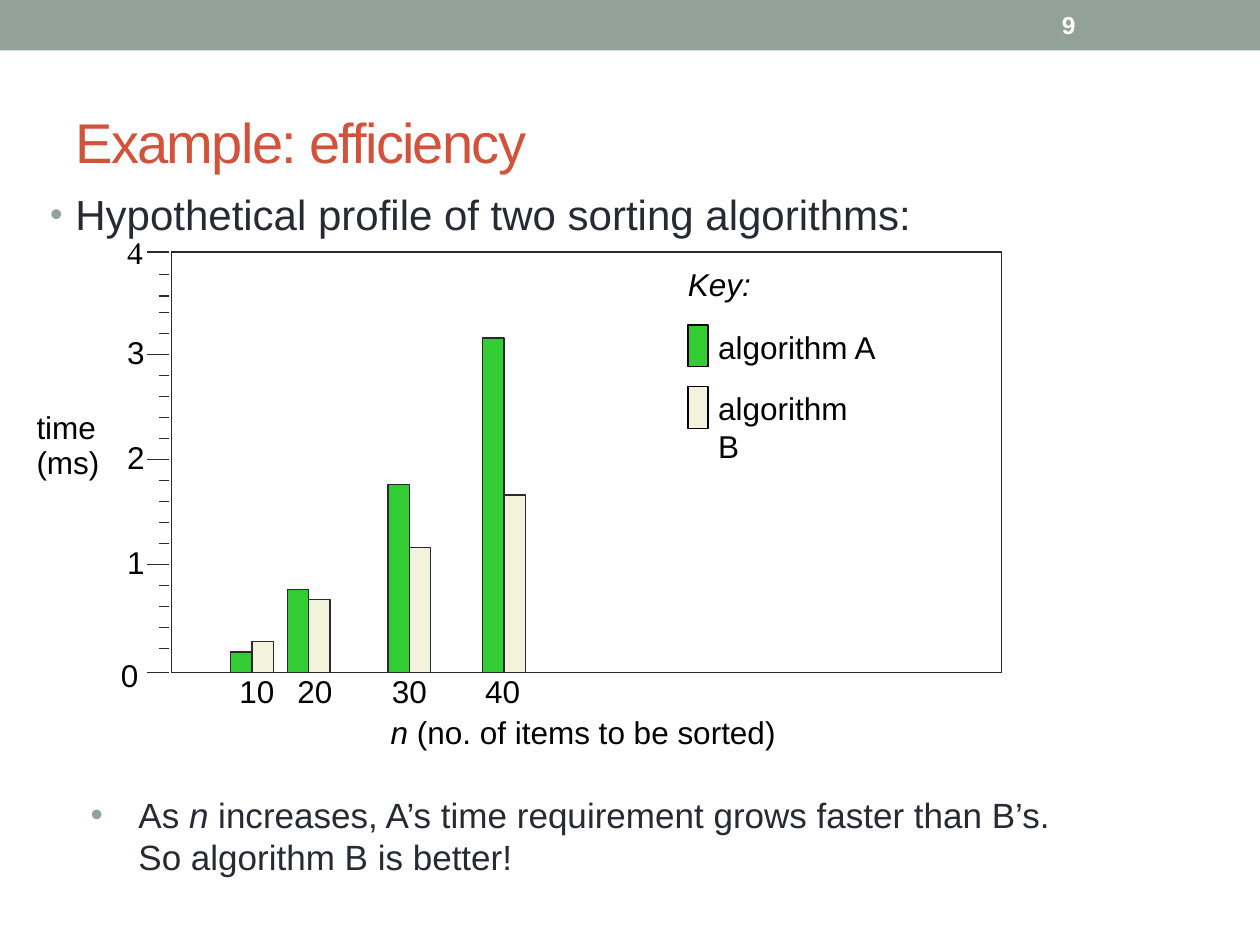
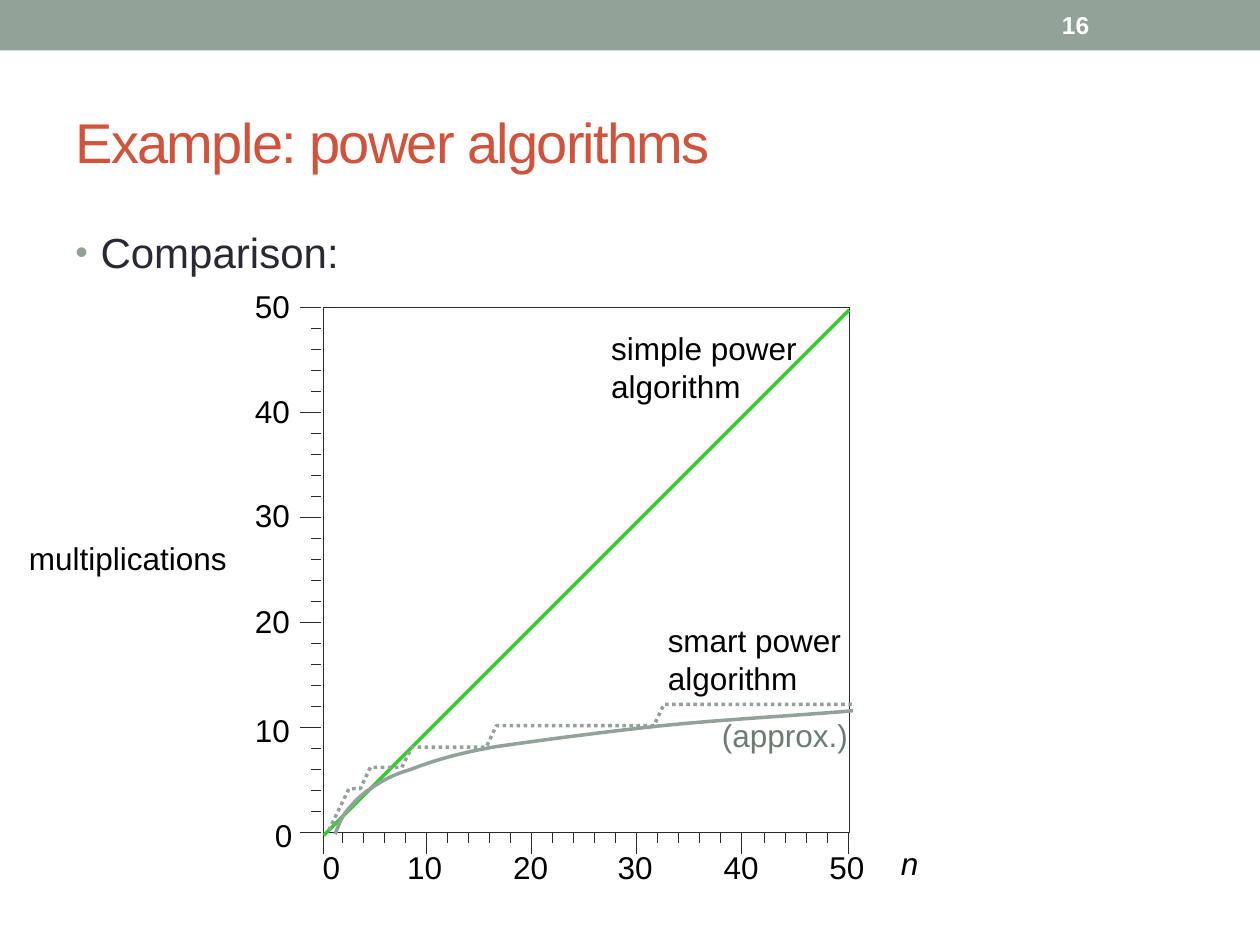
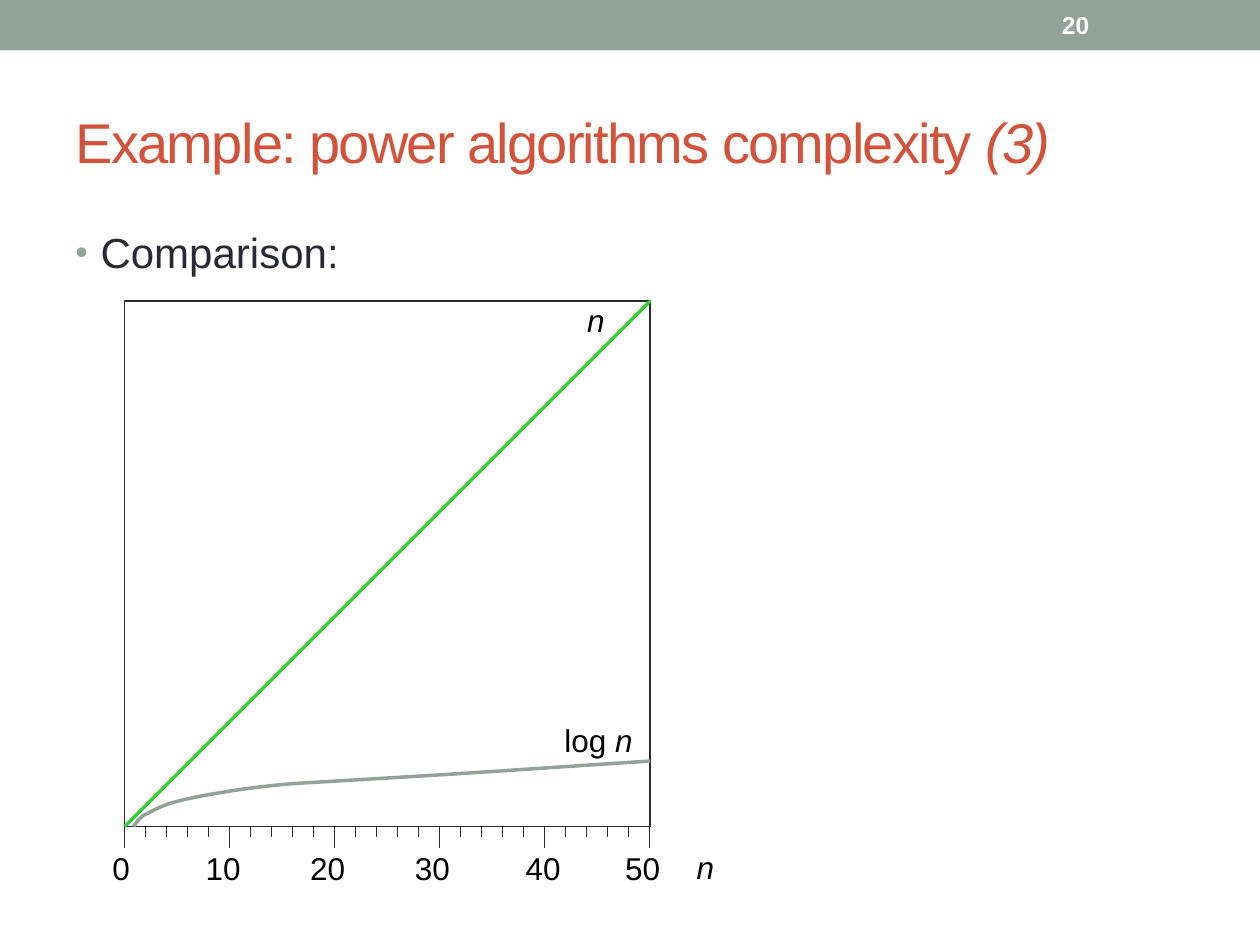
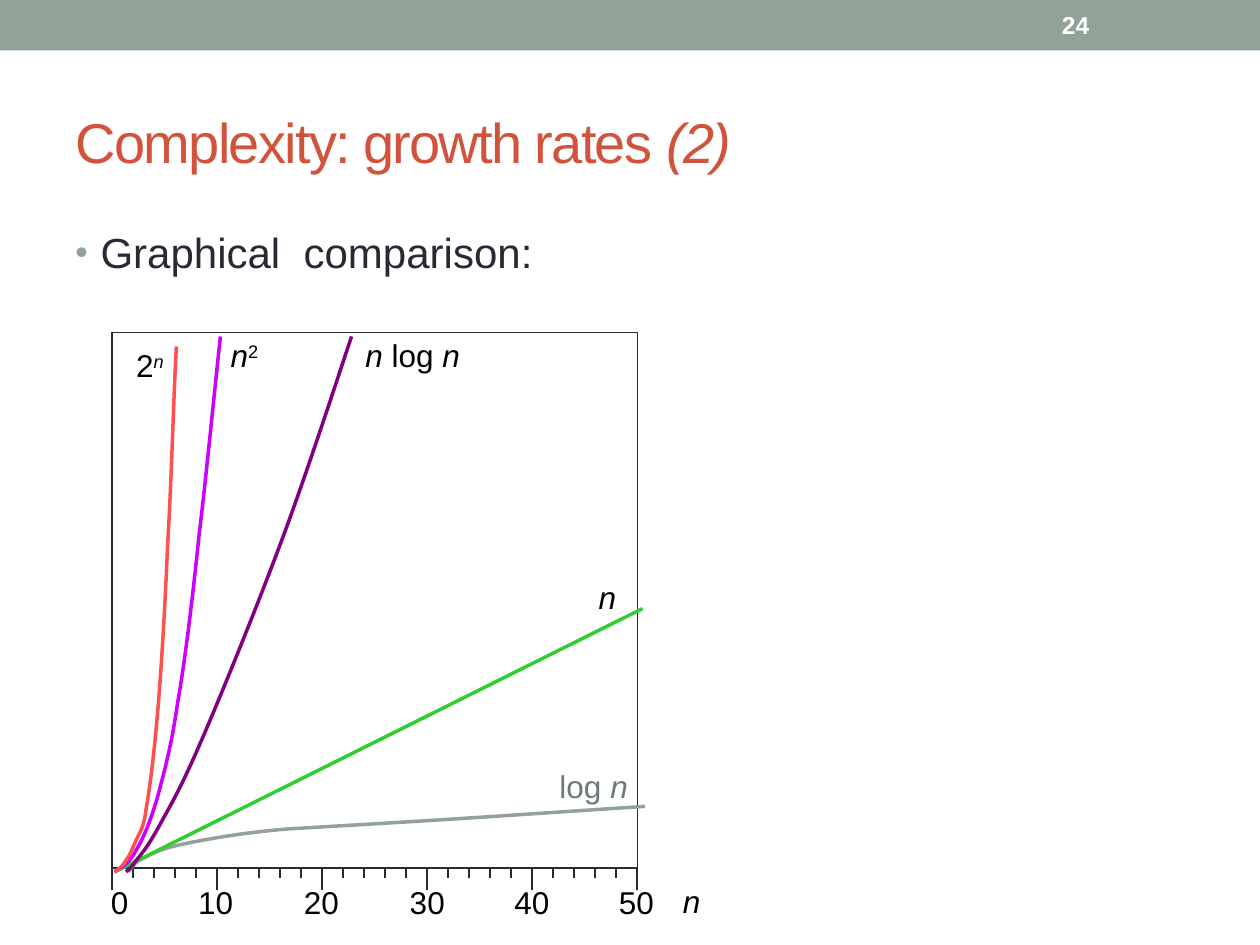
from lxml.etree import SubElement
from pptx import Presentation
from pptx.dml.color import RGBColor
from pptx.enum.dml import MSO_LINE
from pptx.enum.shapes import MSO_CONNECTOR, MSO_SHAPE
from pptx.enum.text import MSO_ANCHOR, MSO_AUTO_SIZE, PP_ALIGN
from pptx.oxml.ns import qn
from pptx.util import Inches, Pt

SAGE, DARK_SAGE, RUST, INK = "93A299", "6B7D72", "D2533C", "292934"
GREEN, CREAM, BLACK, WHITE = "33CC33", "F3F2DC", "000000", "FFFFFF"
PURPLE, VIOLET, CORAL = "800080", "CC00FF", "FF5050"

ITALIC = {"italic": True}
TITLE = {"size": Pt(32), "name": "Arial", "color": RUST, "spc": -100}
BODY = {"size": Pt(24), "name": "Arial", "color": INK}
NOTE = {**BODY, "size": Pt(20)}
LABEL = {"size": Pt(18), "name": "Arial", "color": BLACK}
PALE_LABEL = {**LABEL, "color": DARK_SAGE}
NUMBER = {"size": Pt(14), "name": "Arial", "color": WHITE, "bold": True}

N = [("n", ITALIC)]
LOG_N = ["log ", ("n", ITALIC)]
PLOT_SIDE = 4.17
STEP = 1 / 6
SHORT_TICK, LONG_TICK = 0.08, 0.17

BAR_WIDTH, BAR_BASE, UNIT_HEIGHT = 0.17, 5.34, 0.83
BARS = [
    ("10", 1.83, 1.9, 0.2, 0.3),
    ("20", 2.28, 2.36, 0.8, 0.7),
    ("30", 3.08, 3.11, 1.8, 1.2),
    ("40", 3.83, 3.85, 3.2, 1.7),
]
KEY = [("algorithm A", GREEN, 2.58, False), ("algorithm B", CREAM, 3.07, True)]
EFFICIENCY_TICKS = [2, 2.18, 2.35] + [2.48 + k * STEP for k in range(17)] + [5.34]
EFFICIENCY_LABELS = [
    (["4"], 1.01, 1.85, 0.12, {"name": "Times New Roman"}),
    (["3"], 1.01, 2.64, 0.14, {}),
    (["2"], 1.01, 3.48, 0.14, {}),
    (["1"], 1.01, 4.31, 0.14, {}),
    (["0"], 0.96, 5.21, 0.14, {}),
    ([("Key:", ITALIC)], 5.46, 2.1, 0.5, {}),
    ([("n", ITALIC), " (no. of items to be sorted)"], 3.1, 5.66, 3.11, {}),
]

POWER_X_TICKS = ([2.57] + [2.72 + k * STEP for k in range(20)]
                 + [6.07 + k * STEP for k in range(5)])
POWER_X_LABELS = [2.56, 3.23, 4.07, 4.9, 5.74, 6.58]
POWER_Y_LABELS = [2.28, 3.11, 3.94, 4.78, 5.64, 6.48]
SMART_STEPS = [
    (2.61, 6.59), (2.77, 6.26), (2.86, 6.26), (2.94, 6.09), (3.19, 6.09), (3.27, 5.93),
    (3.86, 5.93), (3.94, 5.76), (5.19, 5.76), (5.27, 5.59), (6.77, 5.59),
]
SMART_CURVE = [
    (2.66, 6.62), (2.68, 6.57), (2.7, 6.51), (2.74, 6.45), (2.79, 6.39), (2.83, 6.34),
    (2.91, 6.28), (3, 6.22), (3.08, 6.16), (3.25, 6.11), (3.41, 6.05), (3.58, 5.99),
    (3.91, 5.93), (4.25, 5.88), (4.78, 5.81), (5.25, 5.76), (5.73, 5.71), (6.46, 5.67),
    (6.77, 5.64),
]

COMPLEXITY_X_LABELS = [0.89, 1.63, 2.46, 3.29, 4.17, 4.96]
LOG_CURVE = [
    (1.06, 6.56), (1.08, 6.53), (1.1, 6.5), (1.14, 6.47), (1.19, 6.45), (1.23, 6.42),
    (1.31, 6.39), (1.39, 6.36), (1.48, 6.34), (1.64, 6.31), (1.81, 6.28), (1.98, 6.25),
    (2.31, 6.22), (2.64, 6.2), (3.17, 6.17), (3.64, 6.14), (4.12, 6.11), (4.84, 6.06),
    (5.16, 6.04),
]

GROWTH_X_LABELS = [0.88, 1.57, 2.41, 3.25, 4.08, 4.91]
GROWTH_CURVES = [
    (PURPLE, [
        (1, 6.92), (1.02, 6.9), (1.04, 6.89), (1.08, 6.83), (1.12, 6.78), (1.16, 6.74),
        (1.25, 6.58), (1.33, 6.43), (1.41, 6.31), (1.58, 5.92), (1.75, 5.53), (2.05, 4.79),
        (2.25, 4.25), (2.45, 3.71), (2.68, 3), (2.79, 2.67)]),
    (VIOLET, [
        (0.91, 6.92), (0.97, 6.88), (1.03, 6.85), (1.08, 6.75), (1.14, 6.65), (1.19, 6.53),
        (1.25, 6.33), (1.3, 6.14), (1.36, 5.93), (1.41, 5.58), (1.47, 5.24), (1.53, 4.74),
        (1.58, 4.25), (1.64, 3.76), (1.69, 3.22), (1.75, 2.67)]),
    (CORAL, [
        (0.91, 6.92), (0.94, 6.9), (0.97, 6.88), (1, 6.83), (1.03, 6.79), (1.05, 6.74),
        (1.08, 6.67), (1.11, 6.6), (1.14, 6.58), (1.16, 6.42), (1.19, 6.25), (1.22, 6.01),
        (1.25, 5.67), (1.28, 5.32), (1.31, 4.82), (1.33, 4.33), (1.36, 3.85), (1.38, 3.08),
        (1.4, 2.75)]),
]
GROWTH_LABELS = [
    ([("n", ITALIC), " log ", ("n", ITALIC)], 2.9, 2.67, 0.83),
    ([("n", ITALIC), ("2", {"baseline": 30000})], 1.83, 2.67, 0.25),
    (["2", ("n", {"italic": True, "baseline": 30000})], 1.08, 2.75, 0.25),
    (N, 4.75, 4.59, 0.18),
]


def rgb(value):
    return RGBColor.from_string(value)


def inches(*values):
    return [Inches(value) for value in values]


def write(para, runs, style):
    for run in runs:
        text, changes = (run, {}) if isinstance(run, str) else run
        span = para.add_run()
        span.text = text
        for key, value in {**style, **changes}.items():
            if key == "color":
                span.font.color.rgb = rgb(value)
            elif key in ("spc", "baseline"):
                span.font._element.set(key, str(value))
            else:
                setattr(span.font, key, value)


def add_text(slide, runs, left, top, width, height, style, **frame_format):
    box = slide.shapes.add_textbox(*inches(left, top, width, height))
    for key, value in {"word_wrap": True, **frame_format}.items():
        setattr(box.text_frame, key, value)
    para = box.text_frame.paragraphs[0]
    write(para, runs, style)
    return para


def add_label(slide, runs, left, top, width, height=0.3, style=LABEL, wrap=False):
    margins = {f"margin_{side}": 0 for side in ("left", "top", "right", "bottom")}
    return add_text(slide, runs, left, top, width, height, style, word_wrap=wrap,
                    auto_size=MSO_AUTO_SIZE.SHAPE_TO_FIT_TEXT, **margins)


def add_bullet(slide, runs, left, top, width, height, style, indent, before, size):
    para = add_text(slide, runs, left, top, width, height, style)
    properties = para._p.get_or_add_pPr()
    properties.set("marL", str(Inches(indent)))
    properties.set("indent", str(-Inches(indent)))
    spacing = SubElement(properties, qn("a:spcBef"))
    SubElement(spacing, qn("a:spcPct"), val=str(before * 1000))
    colour = SubElement(properties, qn("a:buClr"))
    SubElement(colour, qn("a:srgbClr"), val=SAGE)
    SubElement(properties, qn("a:buSzPct"), val=str(size * 1000))
    SubElement(properties, qn("a:buFont"), typeface="Arial")
    SubElement(properties, qn("a:buChar"), char="•")


def add_rectangle(slide, left, top, width, height, fill, line=INK):
    box = slide.shapes.add_shape(MSO_SHAPE.RECTANGLE, *inches(left, top, width, height))
    box.shadow.inherit = False
    box.fill.solid()
    box.fill.fore_color.rgb = rgb(fill)
    if line:
        box.line.color.rgb = rgb(line)
        box.line.width = Pt(0.75)
    else:
        box.line.fill.background()
    return box


def add_line(slide, start, end, color=INK, width=0.75):
    line = slide.shapes.add_connector(MSO_CONNECTOR.STRAIGHT, *inches(*start, *end))
    line.line.color.rgb = rgb(color)
    line.line.width = Pt(width)
    SubElement(line._element.spPr, qn("a:effectLst"))


def add_outline(slide, points, color):
    first, *rest = [inches(*point) for point in points]
    builder = slide.shapes.build_freeform(*first)
    builder.add_line_segments(rest, close=False)
    outline = builder.convert_to_shape()
    outline.shadow.inherit = False
    outline.fill.background()
    outline.line.color.rgb = rgb(color)
    outline.line.width = Pt(2)
    return outline


def add_curve(slide, points, color):
    outline = add_outline(slide, points, color)
    segments = list(outline._element.iter(qn("a:lnTo")))
    for start in range(0, len(segments), 3):
        parent = segments[start].getparent()
        bend = SubElement(parent, qn("a:cubicBezTo"))
        for segment in segments[start:start + 3]:
            bend.append(segment[0])
            parent.remove(segment)


def add_ticks(slide, positions, edge, vertical_axis):
    for index, position in enumerate(positions):
        length = SHORT_TICK if index % 5 else LONG_TICK
        if vertical_axis:
            add_line(slide, (edge - length, position), (edge, position))
        else:
            add_line(slide, (position, edge), (position, edge + length))


def add_axis_number(slide, number, left, top):
    text = str(number)
    para = add_label(slide, [text], left, top, 0.14 * len(text))
    para.alignment = PP_ALIGN.RIGHT


def add_plot(slide, left, top, height, ticks, label_lefts, label_top, name_left, name_top):
    add_rectangle(slide, left, top, PLOT_SIDE, height, WHITE)
    add_ticks(slide, ticks, top + height, False)
    for index, label_left in enumerate(label_lefts):
        add_axis_number(slide, index * 10, label_left, label_top)
    add_label(slide, N, name_left, name_top, 0.14)


def add_page(deck, number, title, body, body_at=(0.5, 1.75, 9, 5.33)):
    slide = deck.slides.add_slide(deck.slide_layouts[5])
    heading = slide.shapes.title
    heading.left, heading.top, heading.width, heading.height = inches(0.5, 0.58, 9, 1.08)
    heading.text_frame.vertical_anchor = MSO_ANCHOR.MIDDLE
    para = heading.text_frame.paragraphs[0]
    para.alignment = PP_ALIGN.LEFT
    write(para, title, TITLE)
    add_bullet(slide, [body], *body_at, BODY, 0.2, 20, 85)
    add_text(slide, [number], 8.33, 0.02, 1.17, 0.36, NUMBER,
             vertical_anchor=MSO_ANCHOR.MIDDLE)
    return slide


def add_band(deck, slide):
    band = add_rectangle(slide, 0, 0, 10, 0.4, SAGE, None)
    deck.slide_master.shapes._spTree.insert(2, band._element)


def build_efficiency(deck):
    slide = add_page(deck, "9", ["Example: efficiency"],
                     "Hypothetical profile of two sorting algorithms:", (0.3, 1.45, 8.33, 0.55))
    add_band(deck, slide)
    add_rectangle(slide, 1.36, 2, 6.59, 3.34, WHITE)
    add_ticks(slide, EFFICIENCY_TICKS, 1.34, True)
    for runs, left, top, width, changes in EFFICIENCY_LABELS:
        add_label(slide, runs, left, top, width, style={**LABEL, **changes})
    unit = add_label(slide, ["time (ms)"], 0.29, 3.26, 0.57, 0.56, wrap=True)
    unit.line_spacing = Pt(20)
    for name, color, top, wrap in KEY:
        add_rectangle(slide, 5.46, top, 0.16, 0.33, color, BLACK)
        add_label(slide, [name], 5.7, top + 0.02, 1.25 if wrap else 1.26, wrap=wrap)
    for count, left, label_left, *times in BARS:
        for index, (time, color) in enumerate(zip(times, (GREEN, CREAM))):
            height = time * UNIT_HEIGHT
            add_rectangle(slide, left + index * BAR_WIDTH, BAR_BASE - height,
                          BAR_WIDTH, height, color)
        add_label(slide, [count], label_left, 5.33, 0.28)
    conclusion = ["As ", ("n", ITALIC), " increases, A’s time requirement grows faster "
                  "than B’s. So algorithm B is better!"]
    add_bullet(slide, conclusion, 0.62, 6.25, 7.91, 0.8, NOTE, 0.38, 50, 100)


def build_power(deck):
    slide = add_page(deck, "16", ["Example: power algorithms"], "Comparison:")
    add_plot(slide, 2.57, 2.44, PLOT_SIDE, POWER_X_TICKS, POWER_X_LABELS, 6.73, 7.15, 6.7)
    add_ticks(slide, [2.44 + k * STEP for k in range(26)], 2.55, True)
    for index, top in enumerate(POWER_Y_LABELS):
        number = 50 - index * 10
        add_axis_number(slide, number, 2.02 if number else 2.18, top)
    add_label(slide, ["multiplications"], 0.23, 4.28, 1.62)
    add_label(slide, ["simple power algorithm"], 4.85, 2.61, 1.55, 0.6, wrap=True)
    add_line(slide, (2.57, 6.63), (6.74, 2.46), GREEN, 2)
    add_label(slide, ["smart power algorithm"], 5.3, 4.93, 1.43, 0.6, wrap=True)
    dotted = add_outline(slide, SMART_STEPS, SAGE)
    dotted.line.dash_style = MSO_LINE.ROUND_DOT
    add_label(slide, ["(approx.)"], 5.73, 5.68, 1.04, style=PALE_LABEL, wrap=True)
    add_curve(slide, SMART_CURVE, SAGE)


def build_complexity(deck):
    slide = add_page(deck, "20", ["Example: power algorithms complexity ", ("(3)", ITALIC)],
                     "Comparison:")
    ticks = [0.99 + k * STEP for k in range(26)]
    add_plot(slide, 0.99, 2.39, PLOT_SIDE, ticks, COMPLEXITY_X_LABELS, 6.74, 5.53, 6.73)
    add_line(slide, (0.99, 6.56), (5.16, 2.39), GREEN, 2)
    add_label(slide, N, 4.66, 2.39, 0.25, wrap=True)
    add_label(slide, LOG_N, 4.48, 5.72, 0.67, wrap=True)
    add_curve(slide, LOG_CURVE, SAGE)


def build_growth(deck):
    slide = add_page(deck, "24", ["Complexity: growth rates ", ("(2)", ITALIC)],
                     "Graphical  comparison:")
    ticks = [0.89 + k * STEP for k in range(26)]
    add_plot(slide, 0.89, 2.64, 4.25, ticks, GROWTH_X_LABELS, 7.01, 5.42, 7)
    add_label(slide, LOG_N, 4.44, 6.09, 0.59, style=PALE_LABEL, wrap=True)
    add_curve(slide, [(x - 0.04, y + 0.36) for x, y in LOG_CURVE], SAGE)
    add_line(slide, (0.91, 6.92), (5.1, 4.83), GREEN, 2)
    for color, points in GROWTH_CURVES:
        add_curve(slide, points, color)
    for runs, left, top, width in GROWTH_LABELS:
        add_label(slide, runs, left, top, width, wrap=True)


def main():
    deck = Presentation()
    deck.slide_width, deck.slide_height = inches(10, 7.5)
    for build in (build_efficiency, build_power, build_complexity, build_growth):
        build(deck)
    deck.save("out.pptx")


if __name__ == "__main__":
    main()
